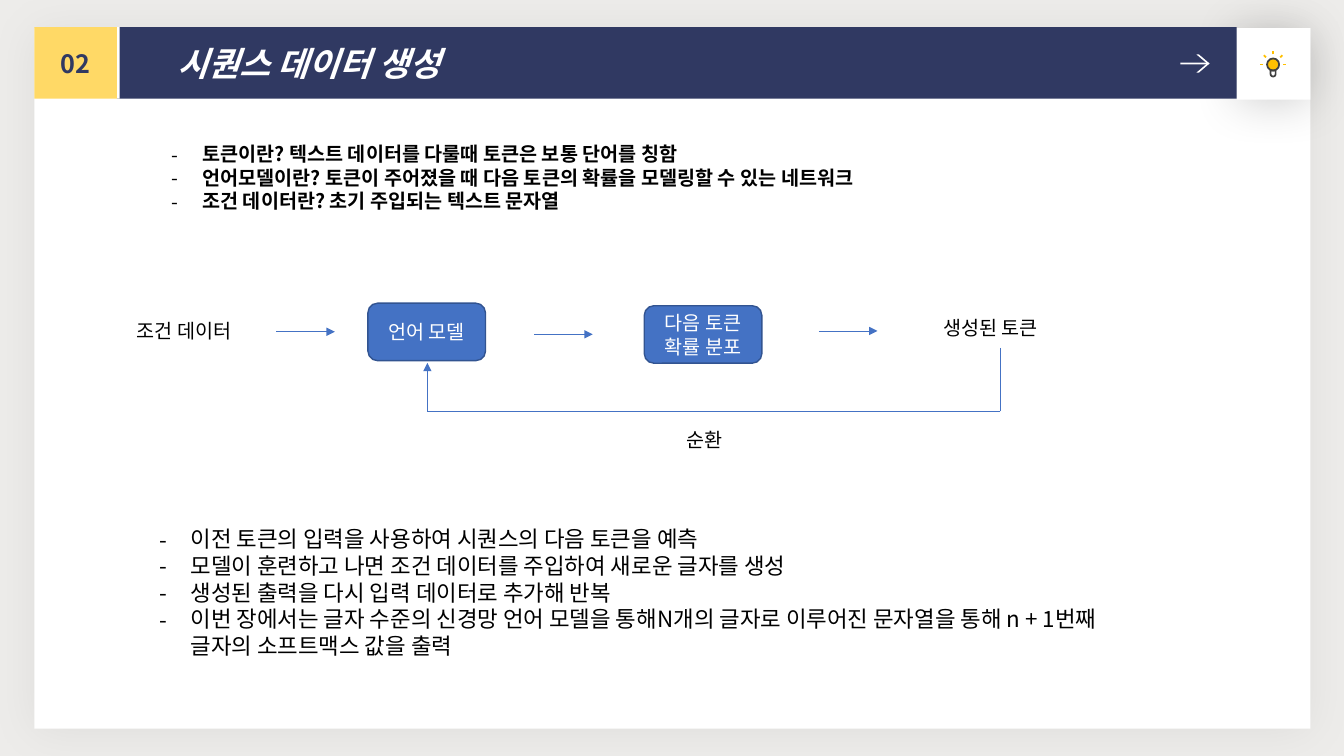
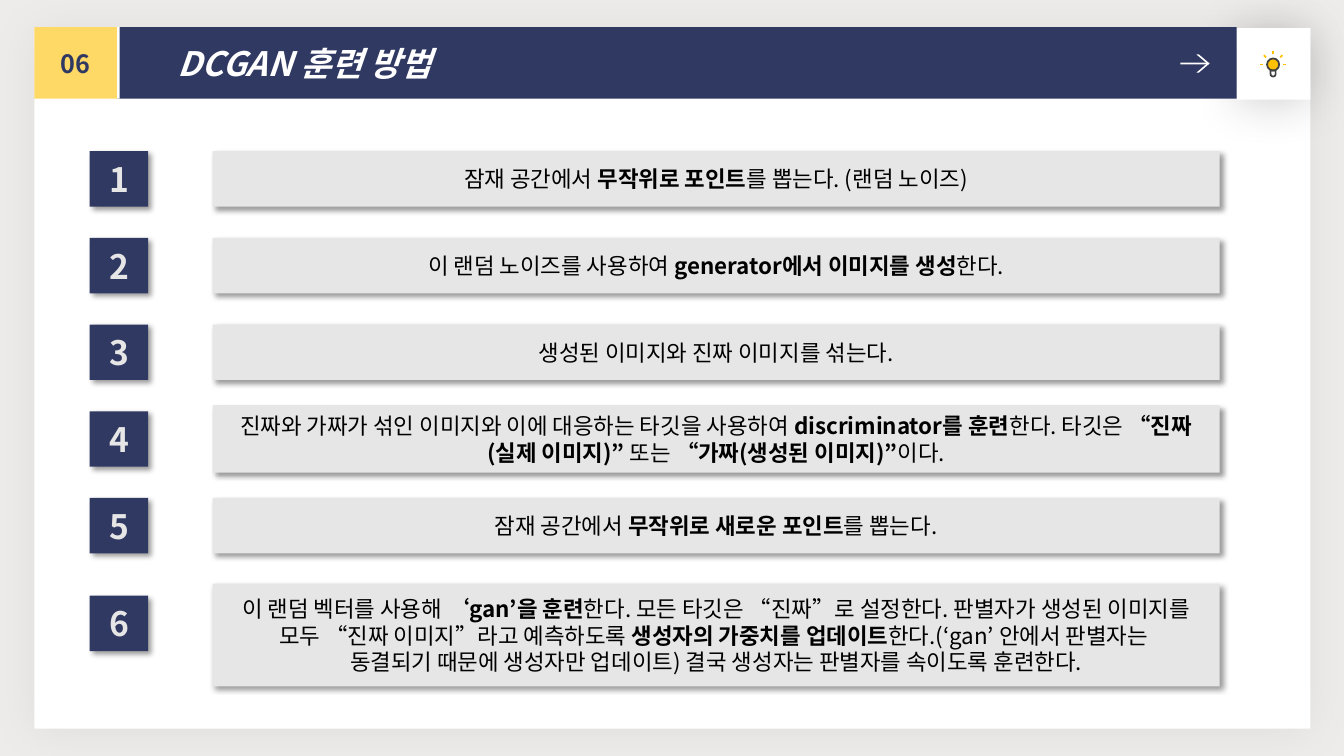
from dataclasses import dataclass
import math
import lxml.etree
import pptx
import pptx.dml.color
import pptx.enum.shapes
import pptx.enum.text
import pptx.oxml.ns
import pptx.util

RGB = pptx.dml.color.RGBColor
KIND = pptx.enum.shapes.MSO_SHAPE
ALIGN = pptx.enum.text.PP_ALIGN
ANCHOR = pptx.enum.text.MSO_ANCHOR
qn = pptx.oxml.ns.qn

# Shared look
FONT = "Noto Sans CJK KR"
PAPER = RGB(0xED, 0xEC, 0xEA)
WHITE = RGB(0xFF, 0xFF, 0xFF)
BLACK = RGB(0x00, 0x00, 0x00)
NAVY = RGB(0x30, 0x39, 0x62)
YELLOW = RGB(0xFF, 0xD9, 0x66)
AMBER = RGB(0xFF, 0xC0, 0x00)
DARK = RGB(0x40, 0x40, 0x40)
BLUE = RGB(0x44, 0x72, 0xC4)
EDGE = RGB(0x32, 0x54, 0x91)
GREY = RGB(0xE7, 0xE6, 0xE6)

# Grid of 160 columns and 90 rows
COLS, ROWS = 160, 90
CELL = pptx.util.Inches(1) / 12
LEFT, TOP, RIGHT = 4.1, 3.24, 156
BAND = 8.52
EDGES = (LEFT, 13.92, 147.24, RIGHT)


@dataclass(frozen=True)
class Box:
    col: float
    row: float
    wide: float
    tall: float

    def place(self) -> tuple:
        return tuple(cells(n) for n in (self.col, self.row, self.wide, self.tall))


@dataclass(frozen=True)
class Shade:
    color: RGB
    alpha: int
    blur: int
    dist: int
    angle: int


@dataclass(frozen=True)
class Style:
    size: int
    color: RGB = BLACK
    bold: bool = False
    italic: bool = False
    align: ALIGN = ALIGN.LEFT
    bullet: bool = False
    indent: float = 0


@dataclass(frozen=True)
class Step:
    text: str
    lift: float = 0
    tall: float = 6.6
    drop: float = 0


SOFT = Shade(BLACK, 5, 34, 2, 90)
DEEP = Shade(BLACK, 18, 34, 2, 90)
RIM = Shade(WHITE, 100, 0, 2, 0)
CAST = Shade(BLACK, 40, 4, 3, 45)

TITLE = Style(24, WHITE, bold=True, italic=True, indent=0.5)
NUMBER = Style(18, NAVY, bold=True, align=ALIGN.CENTER)
TERMS = Style(14, bold=True, bullet=True)
NOTES = Style(16, bullet=True)
LABEL = Style(14)
NODE = Style(14, WHITE, align=ALIGN.CENTER)
DIGIT = Style(24, GREY, bold=True, align=ALIGN.CENTER)
BODY = Style(16, align=ALIGN.CENTER)


def cells(count: float) -> int:
    return round(count * CELL)


# Drawing helpers
def write(shape, text: str, style: Style, anchor=ANCHOR.MIDDLE) -> None:
    """Fill a shape with lines of text; ** switches bold on and off."""
    frame = shape.text_frame
    frame.word_wrap = True
    frame.auto_size = pptx.enum.text.MSO_AUTO_SIZE.NONE
    frame.vertical_anchor = anchor
    frame.text = text.replace("**", "")
    for para, line in zip(frame.paragraphs, text.split("\n")):
        parts = line.split("**")
        para.runs[0].text = parts[0]
        for part in parts[1:]:
            para.add_run().text = part
        props = para._p.get_or_add_pPr()
        indent = 0.31 if style.bullet else style.indent
        props.set("marL", str(pptx.util.Inches(indent)))
        if style.bullet:
            props.set("indent", str(-pptx.util.Inches(indent)))
            lxml.etree.SubElement(props, qn("a:buFont"), typeface=FONT)
            lxml.etree.SubElement(props, qn("a:buChar"), char="-")
        para.alignment = style.align
        para.space_before = para.space_after = pptx.util.Pt(0)
        para.line_spacing = pptx.util.Pt(style.size * 1.2)
        for index, run in enumerate(para.runs):
            font = run.font
            font.name = FONT
            font.size = pptx.util.Pt(style.size)
            font.bold = style.bold or index % 2 == 1
            font.italic = style.italic
            font.color.rgb = style.color
            east = lxml.etree.Element(qn("a:ea"), typeface=FONT)
            run._r.rPr.find(qn("a:latin")).addnext(east)


def cast(shape, shade: Shade) -> None:
    effects = shape.element.spPr.find(qn("a:effectLst"))
    outer = lxml.etree.SubElement(
        effects, qn("a:outerShdw"), blurRad=str(pptx.util.Pt(shade.blur)),
        dist=str(pptx.util.Pt(shade.dist)), dir=str(shade.angle * 60000),
        algn="tl" if shade.angle == 45 else "ctr", rotWithShape="0")
    color = lxml.etree.SubElement(outer, qn("a:srgbClr"), val=str(shade.color))
    lxml.etree.SubElement(color, qn("a:alpha"), val=str(shade.alpha * 1000))


def draw(slide, box: Box, fill=None, kind=KIND.RECTANGLE, line=None,
         width: float = 1, shade=None, adjust=()):
    shape = slide.shapes.add_shape(kind, *box.place())
    shape.shadow.inherit = False
    if fill is None:
        shape.fill.background()
    else:
        shape.fill.solid()
        shape.fill.fore_color.rgb = fill
    if line is None:
        shape.line.fill.background()
    else:
        shape.line.color.rgb = line
        shape.line.width = pptx.util.Pt(width)
    for index, value in enumerate(adjust):
        shape.adjustments[index] = value
    if shade:
        cast(shape, shade)
    return shape


def link(slide, start: tuple, end: tuple, color=BLUE, width: float = 0.5,
         arrow: bool = False) -> None:
    wire = slide.shapes.add_connector(
        pptx.enum.shapes.MSO_CONNECTOR.STRAIGHT,
        *(cells(n) for n in (*start, *end)))
    wire.line.color.rgb = color
    wire.line.width = pptx.util.Pt(width)
    if arrow:
        lxml.etree.SubElement(wire.line._ln, qn("a:tailEnd"), type="triangle")
    lxml.etree.SubElement(wire.element.spPr, qn("a:effectLst"))


def label(slide, box: Box, text: str, style: Style) -> None:
    write(slide.shapes.add_textbox(*box.place()), text, style, ANCHOR.TOP)


# Frame shared by the slides
def bulb(slide, col: float, row: float) -> None:
    draw(slide, Box(col - 0.72, row - 0.72, 1.44, 1.44), AMBER, KIND.OVAL,
         DARK, 1.25)
    draw(slide, Box(col - 0.3, row + 0.72, 0.6, 0.72), None,
         KIND.ROUND_2_SAME_RECTANGLE, DARK, 1.25, adjust=(0, 0.5))
    for angle in range(0, 181, 45):
        x, y = math.cos(math.radians(angle)), math.sin(math.radians(angle))
        link(slide, *((col + r * x, row - r * y) for r in (1.2, 1.56)),
             AMBER, 1.25)


def start(deck, number: str, title: str):
    slide = deck.slides.add_slide(deck.slide_layouts[5])
    first, second, third, last = EDGES
    draw(slide, Box(LEFT, 3.36, RIGHT - LEFT, 83.4), WHITE, shade=SOFT)
    draw(slide, Box(third, 3.36, last - third, BAND), WHITE, shade=DEEP)

    head = slide.shapes.title
    spot = Box(second, TOP, third - second, BAND)
    head.left, head.top, head.width, head.height = spot.place()
    head.fill.solid()
    head.fill.fore_color.rgb = NAVY
    write(head, title, TITLE)
    head.element.getparent().append(head.element)

    bulb(slide, 151.56, 7.68)
    tile = draw(slide, Box(first, TOP, second - first, BAND), YELLOW, shade=RIM)
    write(tile, number, NUMBER)
    draw(slide, Box(142.44, 6.48, 1.56, 2.16), WHITE, KIND.CHEVRON,
         adjust=(0.81,))
    draw(slide, Box(140.52, 7.44, 3.36, 0.24), WHITE)
    return slide


# Slide: generating sequence data
def flow(deck) -> None:
    slide = start(deck, "02", "시퀀스 데이터 생성")
    label(slide, Box(19.2, 16.32, 118.4, 12.5),
          "토큰이란? 텍스트 데이터를 다룰때 토큰은 보통 단어를 칭함\n"
          "언어모델이란? 토큰이 주어졌을 때 다음 토큰의 확률을 모델링할 수 있는 네트워크\n"
          "조건 데이터란? 초기 주입되는 텍스트 문자열", TERMS)

    for col, row, text in ((43.8, 36.1, "언어 모델"),
                           (76.7, 36.4, "다음 토큰\n확률 분포")):
        node = draw(slide, Box(col, row, 14, 6.84), BLUE,
                    KIND.ROUNDED_RECTANGLE, EDGE)
        write(node, text, NODE)
    for col, row, text in ((15.1, 37.4, "조건 데이터"),
                           (111.1, 37, "생성된 토큰"),
                           (80.5, 50.4, "순환")):
        label(slide, Box(col, row, 15.1, 4.1), text, LABEL)
    for col, row in ((32.9, 39.5), (63.6, 39.8), (97.5, 39.4)):
        link(slide, (col, row), (col + 6.96, row), arrow=True)

    loop = ((119.1, 41.4), (119.1, 48.96), (50.88, 48.96), (50.88, 43.2))
    for here, there in zip(loop, loop[1:]):
        link(slide, here, there, arrow=there == loop[-1])

    label(slide, Box(17.8, 61.9, 121.2, 17.4),
          "이전 토큰의 입력을 사용하여 시퀀스의 다음 토큰을 예측\n"
          "모델이 훈련하고 나면 조건 데이터를 주입하여 새로운 글자를 생성\n"
          "생성된 출력을 다시 입력 데이터로 추가해 반복\n"
          "이번 장에서는 글자 수준의 신경망 언어 모델을 통해N개의 글자로 이루어진 "
          "문자열을 통해 n + 1번째 글자의 소프트맥스 값을 출력", NOTES)


# Slide: training steps
STEPS = (
    Step("잠재 공간에서 **무작위로 포인트**를 뽑는다. (랜덤 노이즈)"),
    Step("이 랜덤 노이즈를 사용하여 **generator에서 이미지를 생성**한다."),
    Step("생성된 이미지와 진짜 이미지를 섞는다."),
    Step("진짜와 가짜가 섞인 이미지와 이에 대응하는 타깃을 사용하여 "
         "**discriminator를 훈련**한다. 타깃은 **“진짜(실제 이미지)” **또는 "
         "**“가짜(생성된 이미지)”**이다.", lift=0.72, tall=8.04),
    Step("잠재 공간에서 **무작위로 새로운 포인트**를 뽑는다."),
    Step("이 랜덤 벡터를 사용해 **‘gan’을 훈련**한다. 모든 타깃은 “진짜”로 설정한다. "
         "판별자가 생성된 이미지를 모두 “진짜 이미지”라고 예측하도록 "
         "**생성자의 가중치를 업데이트**한다.(‘gan’ 안에서 판별자는 \n"
         "동결되기 때문에 생성자만 업데이트) 결국 생성자는 판별자를 속이도록 훈련한다.",
         lift=1.44, tall=12.24, drop=1.32),
)


def train(deck) -> None:
    slide = start(deck, "06", "DCGAN 훈련 방법")
    for index, step in enumerate(STEPS):
        row = 18 + 10.32 * index + step.drop
        tile = draw(slide, Box(10.68, row, 6.96, 6.6), NAVY, shade=CAST)
        write(tile, str(index + 1), DIGIT)
        bar = draw(slide, Box(25.3, row - step.lift, 119.9, step.tall), GREY,
                   shade=CAST)
        write(bar, step.text, BODY)


def main() -> None:
    deck = pptx.Presentation()
    deck.slide_width, deck.slide_height = cells(COLS), cells(ROWS)
    back = deck.slide_master.background.fill
    back.solid()
    back.fore_color.rgb = PAPER
    flow(deck)
    train(deck)
    deck.save("out.pptx")


if __name__ == "__main__":
    main()
